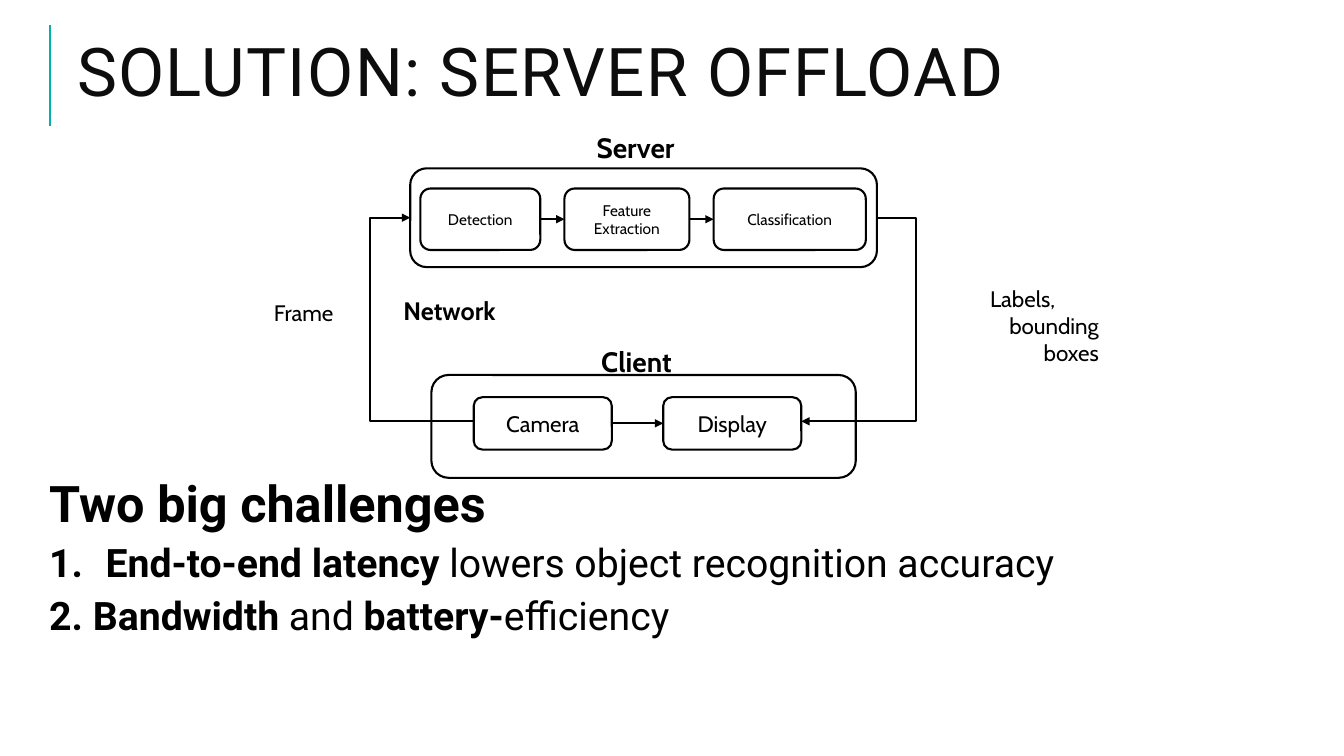
from dataclasses import dataclass

from lxml.etree import SubElement
from pptx import Presentation
from pptx.dml.color import RGBColor
from pptx.enum.shapes import MSO_CONNECTOR as Connector, MSO_SHAPE as Shape
from pptx.enum.text import MSO_ANCHOR as Anchor, PP_ALIGN as Align
from pptx.oxml.ns import qn
from pptx.util import Emu, Inches, Pt

SLIDE_WIDTH, SLIDE_HEIGHT = Inches(40 / 3), Inches(7.5)
COLUMNS, ROWS = 40, 30
RIGHT_SIDE, LEFT_SIDE = 3, 1


@dataclass(frozen=True)
class Theme:
    ink = RGBColor(0, 0, 0)
    title_ink = RGBColor(0x0D, 0x0D, 0x0D)
    paper = RGBColor(0xFF, 0xFF, 0xFF)
    accent = RGBColor(0x00, 0xB1, 0xAC)
    heading_font = "Roboto"
    diagram_font = "Cabin"
    title_size = 48
    challenge_size = 36
    item_size = 28
    group_size = 20
    network_size = 18
    label_size = 16
    stage_size = 11
    line_width = Pt(1.5)


THEME = Theme()


def column(number):
    return Emu(round(SLIDE_WIDTH * number / COLUMNS))


def row(number):
    return Emu(round(SLIDE_HEIGHT * number / ROWS))


def grid_box(left, top, width, height):
    return column(left), row(top), column(width), row(height)


def write(paragraph, text, size=THEME.label_size, font=THEME.diagram_font,
          color=THEME.ink, bold=False, align=None, line_spacing=None, tracking=None):
    """Append one formatted run; tracking is in hundredths of a point."""
    run = paragraph.add_run()
    run.text = text
    run.font.size, run.font.name, run.font.bold = Pt(size), font, bold
    run.font.color.rgb = color
    if align is not None:
        paragraph.alignment = align
    if line_spacing:
        paragraph.line_spacing = line_spacing
    if tracking:
        run.font._element.set("spc", str(tracking))


def add_frame(slide, box, wrap=True):
    frame = slide.shapes.add_textbox(*grid_box(*box)).text_frame
    frame.word_wrap = wrap
    return frame


def add_label(slide, text, box, **text_format):
    write(add_frame(slide, box, wrap=False).paragraphs[0], text, **text_format)


def add_block(slide, box, text="", filled=True, **text_format):
    block = slide.shapes.add_shape(Shape.ROUNDED_RECTANGLE, *grid_box(*box))
    block.shadow.inherit = False
    if filled:
        block.fill.solid()
        block.fill.fore_color.rgb = THEME.paper
    else:
        block.fill.background()
    block.line.color.rgb, block.line.width = THEME.ink, THEME.line_width
    if text:
        frame = block.text_frame
        frame.word_wrap, frame.vertical_anchor = True, Anchor.MIDDLE
        write(frame.paragraphs[0], text, align=Align.CENTER, **text_format)
    return block


def add_line(slide, start, end, kind=Connector.STRAIGHT, color=THEME.ink, arrow=True):
    line = slide.shapes.add_connector(
        kind, column(start[0]), row(start[1]), column(end[0]), row(end[1]))
    line.line.color.rgb, line.line.width = color, THEME.line_width
    if arrow:
        SubElement(line.line._get_or_add_ln(), qn("a:tailEnd"), type="triangle")
    SubElement(line._element.spPr, qn("a:effectLst"))
    return line


def join(slide, source, target):
    arrow = add_line(slide, (0, 0), (1, 1))
    arrow.begin_connect(source, RIGHT_SIDE)
    arrow.end_connect(target, LEFT_SIDE)


def add_detour(slide, start, end, lane):
    """Draw an elbow arrow whose upright part runs along the column lane."""
    arrow = add_line(slide, start, end, kind=Connector.ELBOW)
    bend = round(100000 * (lane - start[0]) / (end[0] - start[0]))
    geometry = arrow._element.spPr.find(qn("a:prstGeom"))
    guides = geometry.find(qn("a:avLst"))
    if guides is None:
        guides = SubElement(geometry, qn("a:avLst"))
    SubElement(guides, qn("a:gd"), name="adj1", fmla=f"val {bend}")


def add_title(slide):
    add_line(slide, (1.5, 5), (1.5, 1), color=THEME.accent, arrow=False)
    write(add_frame(slide, (2, 1.6, 34.5, 5.8)).paragraphs[0],
          "SOLUTION: SERVER OFFLOAD", size=THEME.title_size, font=THEME.heading_font,
          color=THEME.title_ink, line_spacing=0.8, tracking=100)


def add_diagram(slide):
    add_block(slide, (12.84, 14.88, 12.63, 4.08))
    add_block(slide, (12.21, 6.68, 13.89, 3.92))
    group = dict(size=THEME.group_size, bold=True, align=Align.CENTER)
    add_label(slide, "Server", (17.43, 5, 2.97, 1.76), **group)
    add_label(slide, "Client", (17.58, 13.48, 2.73, 1.76), **group)

    stages = [add_block(slide, (left, 7.48, width, 2.44), text, size=THEME.stage_size)
              for text, left, width in (("Detection", 12.51, 3.57),
                                        ("Feature Extraction", 16.8, 3.72),
                                        ("Classification", 21.24, 4.53))]
    devices = [add_block(slide, (left, 15.76, 4.11, 2.08), text, filled=False)
               for text, left in (("Camera", 14.1), ("Display", 19.74))]
    for chain in (stages, devices):
        for source, target in zip(chain, chain[1:]):
            join(slide, source, target)

    server_row, client_row = 8.64, 16.72
    add_detour(slide, (26.1, server_row), (23.85, client_row), lane=27.27)
    add_detour(slide, (14.1, client_row), (12.21, server_row), lane=11.01)

    add_label(slide, "Frame", (7.86, 11.68, 2.4, 1.48))
    add_label(slide, "Network", (11.64, 11.52, 3.48, 1.6),
              size=THEME.network_size, bold=True, align=Align.CENTER)
    results = add_frame(slide, (28.02, 11.12, 4.98, 2.56))
    write(results.paragraphs[0], "Labels, ", align=Align.CENTER)
    write(results.add_paragraph(), "bounding boxes", align=Align.RIGHT)


def add_challenges(slide):
    """Each paragraph is its size, whether it is numbered, and (text, bold) runs."""
    paragraphs = (
        (THEME.challenge_size, False, [("Two big challenges", True)]),
        (THEME.item_size, True, [("End-to-end latency ", True),
                                 ("lowers object recognition accuracy", False)]),
        (THEME.item_size, False, [("2. Bandwidth ", True), ("and", False),
                                  (" battery-", True), ("efficiency", False)]),
    )
    frame = add_frame(slide, (1.17, 18.8, 38.76, 8.2))
    hang = Inches(0.56)
    for index, (size, numbered, runs) in enumerate(paragraphs):
        paragraph = frame.add_paragraph() if index else frame.paragraphs[0]
        properties = paragraph._p.get_or_add_pPr()
        properties.set("marL", str(hang))
        properties.set("indent", str(-hang))
        if numbered:
            SubElement(properties, qn("a:buFont"), typeface=THEME.heading_font)
            SubElement(properties, qn("a:buAutoNum"), type="arabicPeriod")
        else:
            SubElement(properties, qn("a:buNone"))
        if index:
            paragraph.space_before = Pt(7.5)
        for text, bold in runs:
            write(paragraph, text, size=size, font=THEME.heading_font,
                  bold=bold, line_spacing=0.9)


def main():
    presentation = Presentation()
    presentation.slide_width, presentation.slide_height = SLIDE_WIDTH, SLIDE_HEIGHT
    slide = presentation.slides.add_slide(presentation.slide_layouts[6])
    add_title(slide)
    add_diagram(slide)
    add_challenges(slide)
    presentation.save("out.pptx")


if __name__ == "__main__":
    main()
